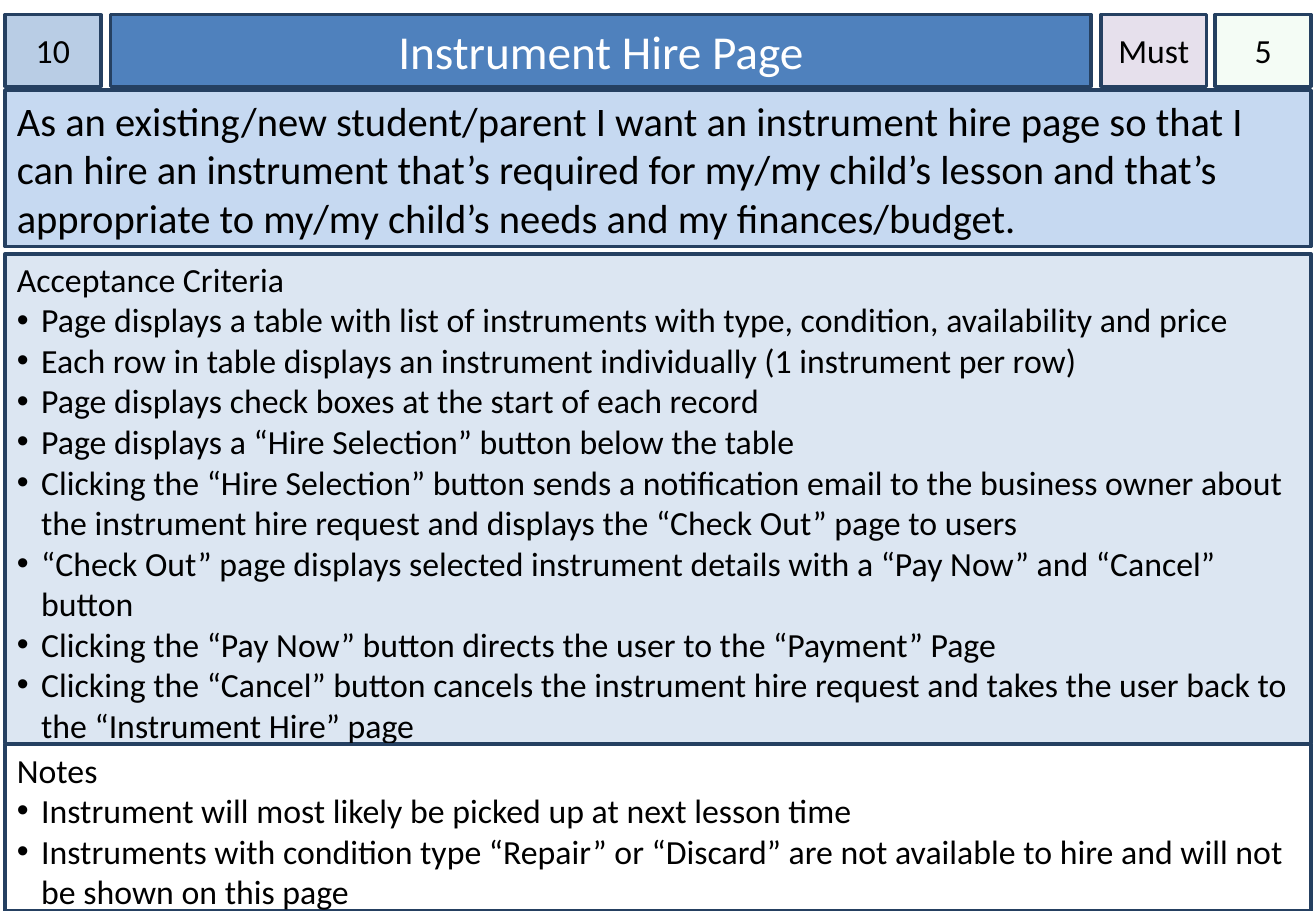
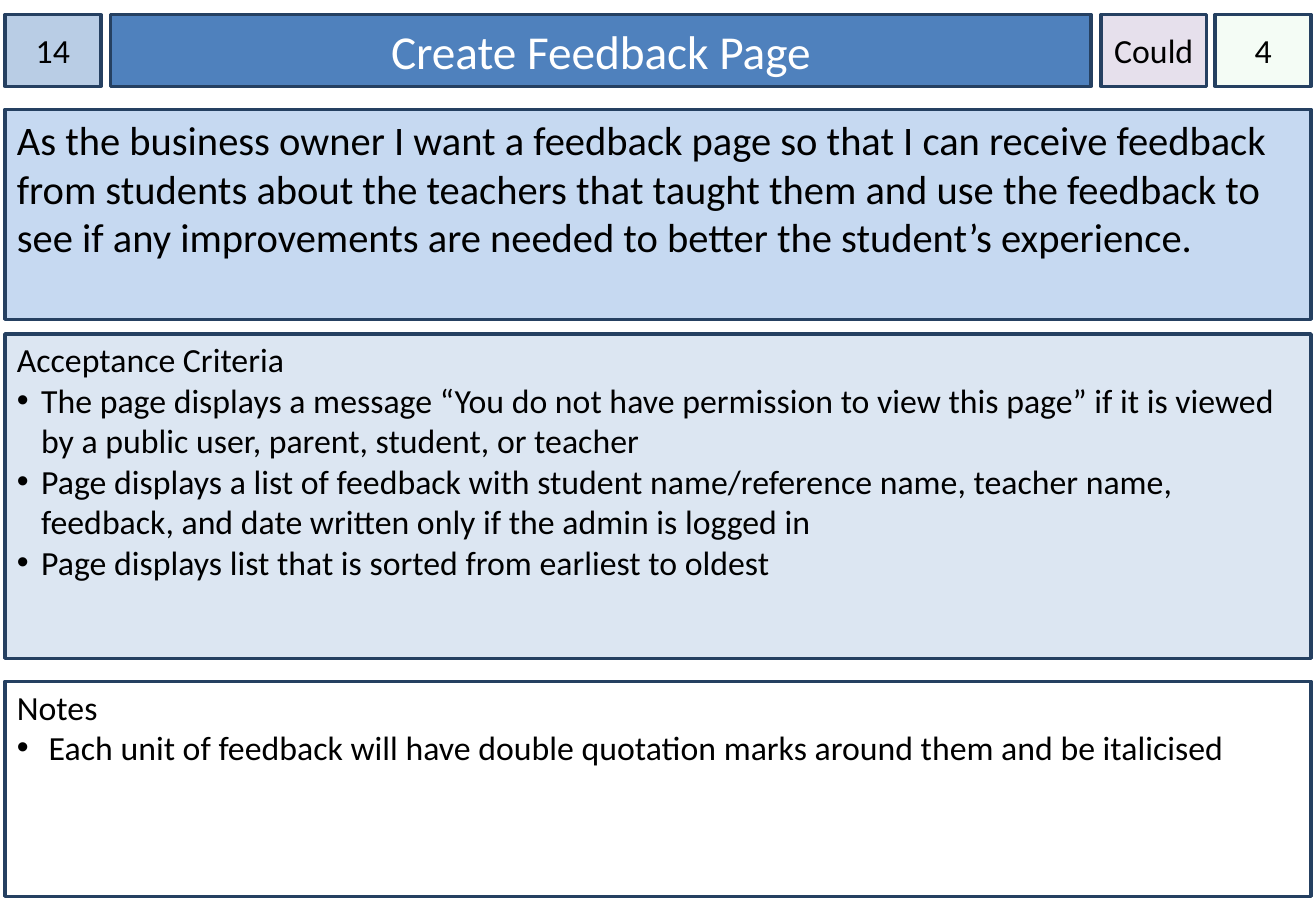
from dataclasses import dataclass

from lxml.etree import SubElement
from pptx import Presentation
from pptx.dml.color import RGBColor
from pptx.enum.shapes import MSO_SHAPE
from pptx.enum.text import MSO_ANCHOR, PP_ALIGN
from pptx.oxml.ns import qn
from pptx.util import Inches, Pt


@dataclass(frozen=True)
class Theme:
    font: str = "Calibri"
    ink: str = "000000"
    light: str = "FFFFFF"
    edge: str = "254061"
    number: str = "B9CDE5"
    title: str = "4F81BD"
    story: str = "C6D9F1"
    tests: str = "DCE6F2"
    rank: str = "E6E0EC"
    points: str = "CCF0CD"
    notes: str = "FFFFFF"
    head: int = 28
    lead: int = 24
    body: int = 20
    rule: int = 2


class Deck:
    """Draws user story cards in one shared style."""

    left, width = 0.04, 10.75
    top, height = 0.12, 0.59

    def __init__(self, theme):
        self.theme = theme
        self.file = Presentation()
        self.file.slide_width = Inches(10.83)
        self.file.slide_height = Inches(7.5)
        self.slide = None

    def start(self):
        self.slide = self.file.slides.add_slide(self.file.slide_layouts[6])

    def box(self, left, top, width, height, fill):
        shape = self.slide.shapes.add_shape(
            MSO_SHAPE.RECTANGLE, *map(Inches, (left, top, width, height)))
        shape.shadow.inherit = False
        shape.fill.solid()
        shape.fill.fore_color.rgb = RGBColor.from_string(fill)
        shape.line.color.rgb = RGBColor.from_string(self.theme.edge)
        shape.line.width = Pt(self.theme.rule)
        shape.text_frame.word_wrap = True
        return shape

    def words(self, para, text, size, color, align=PP_ALIGN.LEFT):
        para.text = text
        para.alignment = align
        for run in para.runs:
            run.font.name = self.theme.font
            run.font.size = Pt(size)
            run.font.color.rgb = RGBColor.from_string(color)

    def bullet(self, para):
        props = para._p.get_or_add_pPr()
        props.set("marL", str(Inches(0.2)))
        props.set("indent", str(-Inches(0.2)))
        SubElement(props, qn("a:buFont"), typeface="Arial")
        SubElement(props, qn("a:buChar"), char="•")

    def label(self, left, width, text, fill, size, color):
        shape = self.box(left, self.top, width, self.height, fill)
        frame = shape.text_frame
        frame.vertical_anchor = MSO_ANCHOR.MIDDLE
        self.words(frame.paragraphs[0], text, size, color, PP_ALIGN.CENTER)
        return shape

    def badge(self, left, width, text, fill):
        theme = self.theme
        shape = self.label(left, width, text, fill, theme.body, theme.ink)
        shape.text_frame.margin_left = shape.text_frame.margin_right = 0
        return shape

    def fade(self, shape, share):
        color = shape._element.spPr.find(qn("a:solidFill"))[0]
        SubElement(color, qn("a:alpha"), val=str(share * 1000))

    def story(self, top, height, text):
        theme = self.theme
        frame = self.box(self.left, top, self.width, height, theme.story).text_frame
        frame.vertical_anchor = MSO_ANCHOR.TOP
        self.words(frame.paragraphs[0], text, theme.lead, theme.ink)

    def panel(self, top, height, fill, head, items):
        theme = self.theme
        frame = self.box(self.left, top, self.width, height, fill).text_frame
        frame.vertical_anchor = MSO_ANCHOR.TOP
        frame.margin_top = Inches(0.04)
        self.words(frame.paragraphs[0], head, theme.body, theme.ink)
        for item in items:
            para = frame.add_paragraph()
            self.bullet(para)
            self.words(para, item, theme.body, theme.ink)

    def card(self, number, title, rank, points, story, tests, notes, rows):
        theme = self.theme
        self.start()
        self.badge(self.left, 0.79, number, theme.number)
        self.label(0.91, 8.07, title, theme.title, theme.head, theme.light)
        self.story(*rows[0], story)
        self.panel(*rows[1], theme.tests, "Acceptance Criteria", tests)
        self.fade(self.badge(10, 0.79, points, theme.points), 20)
        self.badge(9.06, 0.87, rank, theme.rank).text_frame.word_wrap = False
        self.panel(*rows[2], theme.notes, "Notes", notes)


CARDS = [
    dict(
        number="10", title="Instrument Hire Page", rank="Must", points="5",
        rows=[(0.74, 1.29), (2.09, 4.03), (6.13, 1.37)],
        story="As an existing/new student/parent I want an instrument hire page "
              "so that I can hire an instrument that’s required for my/my child’s "
              "lesson and that’s appropriate to my/my child’s needs and my "
              "finances/budget.",
        tests=[
            "Page displays a table with list of instruments with type, condition, "
            "availability and price",
            "Each row in table displays an instrument individually "
            "(1 instrument per row)",
            "Page displays check boxes at the start of each record",
            "Page displays a “Hire Selection” button below the table",
            "Clicking the “Hire Selection” button sends a notification email to "
            "the business owner about the instrument hire request and displays "
            "the “Check Out” page to users",
            "“Check Out” page displays selected instrument details with a "
            "“Pay Now” and “Cancel” button",
            "Clicking the “Pay Now” button directs the user to the “Payment” Page",
            "Clicking the “Cancel” button cancels the instrument hire request and "
            "takes the user back to the “Instrument Hire” page",
        ],
        notes=[
            "Instrument will most likely be picked up at next lesson time",
            "Instruments with condition type “Repair” or “Discard” are not "
            "available to hire and will not be shown on this page",
        ],
    ),
    dict(
        number="14", title="Create Feedback Page", rank="Could", points="4",
        rows=[(0.9, 1.73), (2.75, 2.67), (5.61, 1.77)],
        story="As the business owner I want a feedback page so that I can receive "
              "feedback from students about the teachers that taught them and use "
              "the feedback to see if any improvements are needed to better the "
              "student’s experience.",
        tests=[
            "The page displays a message “You do not have permission to view this "
            "page” if it is viewed by a public user, parent, student, or teacher",
            "Page displays a list of feedback with student name/reference name, "
            "teacher name, feedback, and date written only if the admin is "
            "logged in",
            "Page displays list that is sorted from earliest to oldest",
        ],
        notes=[
            " Each unit of feedback will have double quotation marks around them "
            "and be italicised",
        ],
    ),
]


def main():
    deck = Deck(Theme())
    for card in CARDS:
        deck.card(**card)
    deck.file.save("out.pptx")


if __name__ == "__main__":
    main()
